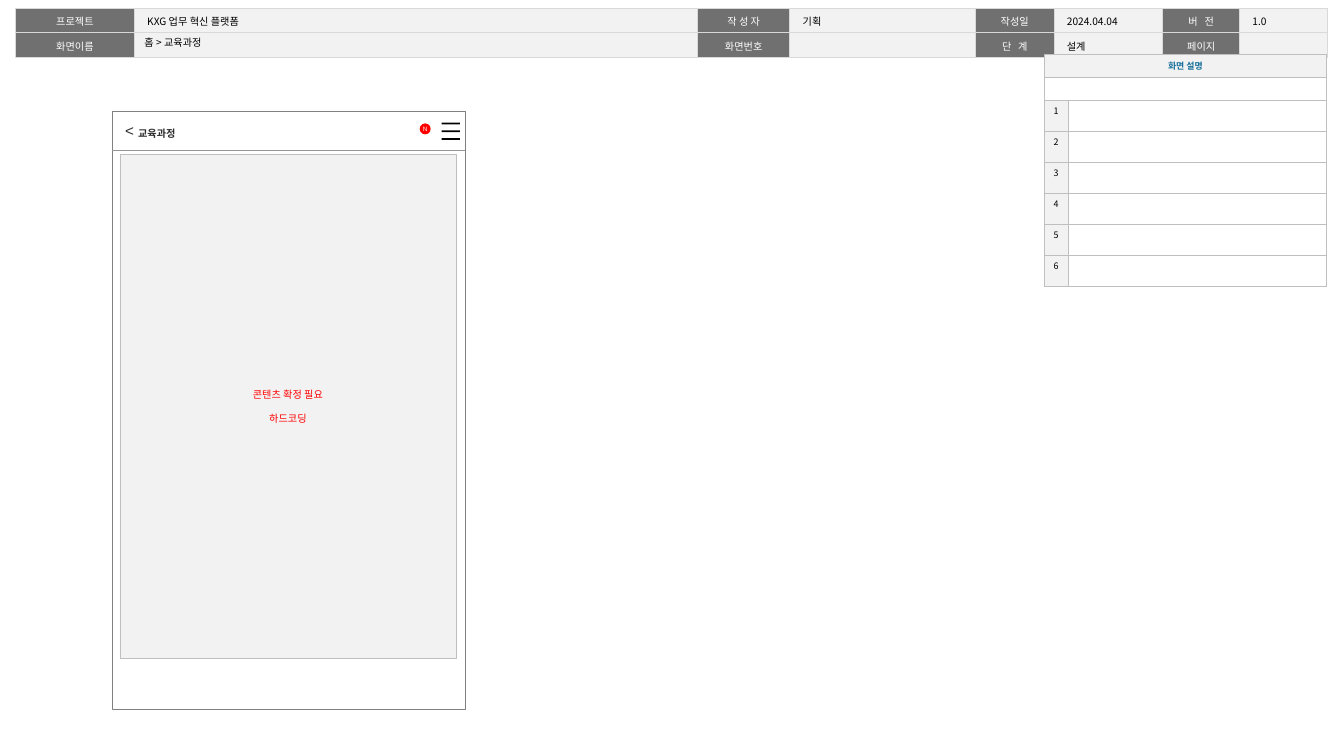
from lxml import etree
from pptx import Presentation
from pptx.dml.color import RGBColor
from pptx.enum.shapes import MSO_CONNECTOR, MSO_SHAPE
from pptx.enum.text import MSO_ANCHOR, MSO_AUTO_SIZE, PP_ALIGN
from pptx.oxml.ns import qn
from pptx.util import Inches, Pt

LEFT, CENTER = PP_ALIGN.LEFT, PP_ALIGN.CENTER
TOP, MIDDLE = MSO_ANCHOR.TOP, MSO_ANCHOR.MIDDLE
RECTANGLE, OVAL = MSO_SHAPE.RECTANGLE, MSO_SHAPE.OVAL
STRAIGHT = MSO_CONNECTOR.STRAIGHT
NO_FIT = MSO_AUTO_SIZE.NONE

WHITE = RGBColor(0xFF, 0xFF, 0xFF)
BLACK = RGBColor(0, 0, 0)
INK = RGBColor(0x2E, 0x2E, 0x2E)
RED = RGBColor(0xFF, 0, 0)
BLUE = RGBColor(0x17, 0x6F, 0x9B)
LABEL_GRAY = RGBColor(0x70, 0x70, 0x70)
PALE_GRAY = RGBColor(0xF2, 0xF2, 0xF2)
HEADER_BORDER = RGBColor(0xD9, 0xD9, 0xD9)
PANEL_BORDER = RGBColor(0xBF, 0xBF, 0xBF)
FRAME_LINE = RGBColor(0x80, 0x80, 0x80)
BAR_LINE = RGBColor(0x96, 0x96, 0x96)

KOREAN_FONT = "Noto Sans CJK KR"
LATIN_FONT = "Arial"

HEADER_COLUMNS = [1.3, 6.16, 1.01, 2.03, 0.86, 1.19, 0.84, 0.96]
HEADER_ROWS = [
    ["프로젝트", "KXG 업무 혁신 플랫폼", "작 성 자", "기획",
     "작성일", "2024.04.04", "버   전", "1.0"],
    ["화면이름", "", "화면번호", "", "단   계", "설계", "페이지", ""],
]
NOTE_COUNT = 6


def write(para, text, size, color, font=KOREAN_FONT, bold=False, align=LEFT):
    para.alignment = align
    if not text:
        # An empty cell keeps the small text height
        etree.SubElement(para._p, qn("a:endParaRPr"), sz=str(size * 100))
        return
    span = para.add_run()
    span.text = text
    span.font.size = Pt(size)
    span.font.bold = bold
    span.font.name = font
    span.font.color.rgb = color
    etree.SubElement(span._r.get_or_add_rPr(), qn("a:ea"), typeface=KOREAN_FONT)


def set_margins(item, side, end):
    item.margin_left = item.margin_right = Inches(side)
    item.margin_top = item.margin_bottom = Inches(end)


def paint(shape, fill=None, line=None, weight=0.5):
    if fill is None:
        shape.fill.background()
    else:
        shape.fill.solid()
        shape.fill.fore_color.rgb = fill
    if line is None:
        shape.line.fill.background()
    else:
        shape.line.color.rgb = line
        shape.line.width = Pt(weight)
    shape.shadow.inherit = False


def add_box(slide, kind, left, top, width, height, **style):
    box = slide.shapes.add_shape(
        kind, Inches(left), Inches(top), Inches(width), Inches(height))
    paint(box, **style)
    frame = box.text_frame
    set_margins(frame, 0, 0)
    frame.word_wrap = False
    frame.vertical_anchor = MIDDLE
    return box


def add_label(slide, left, top, width, height, text, size, side, wrap, **style):
    box = slide.shapes.add_textbox(
        Inches(left), Inches(top), Inches(width), Inches(height))
    frame = box.text_frame
    frame.word_wrap = wrap
    set_margins(frame, side, 0.05)
    write(frame.paragraphs[0], text, size, INK, LATIN_FONT, **style)
    return frame.paragraphs[0]


def add_grid(slide, left, top, columns, rows):
    table = slide.shapes.add_table(
        len(rows), len(columns), Inches(left), Inches(top),
        Inches(sum(columns)), Inches(sum(rows))).table
    table.first_row = table.horz_banding = False
    for column, width in zip(table.columns, columns):
        column.width = Inches(width)
    for row, height in zip(table.rows, rows):
        row.height = Inches(height)
    return table


def format_cell(cell, fill, border, weight, side, anchor=TOP):
    set_margins(cell, side, 0.05)
    cell.vertical_anchor = anchor
    properties = cell._tc.get_or_add_tcPr()
    for edge in ("a:lnL", "a:lnR", "a:lnT", "a:lnB"):
        line = etree.SubElement(properties, qn(edge), w=str(int(Pt(weight))))
        solid = etree.SubElement(line, qn("a:solidFill"))
        etree.SubElement(solid, qn("a:srgbClr"), val=str(border))
    cell.fill.solid()
    cell.fill.fore_color.rgb = fill


def add_header(slide):
    table = add_grid(slide, 0.17, 0.09, HEADER_COLUMNS, [0.24, 0.24])
    for row, texts in enumerate(HEADER_ROWS):
        for column, text in enumerate(texts):
            is_label = column % 2 == 0
            cell = table.cell(row, column)
            format_cell(cell, LABEL_GRAY if is_label else PALE_GRAY,
                        HEADER_BORDER, 1, 0.14)
            para = cell.text_frame.paragraphs[0]
            para.line_spacing = 1.05
            write(para, text, 8, WHITE if is_label else BLACK,
                  align=CENTER if is_label else LEFT)


def add_notes_table(slide):
    table = add_grid(slide, 11.42, 0.59, [0.26, 2.83],
                     [0.25] * 2 + [0.34] * NOTE_COUNT)
    rows = [["화면 설명", ""], ["", ""]]
    rows += [[str(number), ""] for number in range(1, NOTE_COUNT + 1)]
    for row, texts in enumerate(rows):
        is_heading = row == 0
        for column, text in enumerate(texts):
            cell = table.cell(row, column)
            shaded = is_heading or (row > 1 and column == 0)
            format_cell(cell, PALE_GRAY if shaded else WHITE, PANEL_BORDER,
                        0.25, 0.04, MIDDLE if is_heading else TOP)
            write(cell.text_frame.paragraphs[0], text, 7,
                  BLUE if is_heading else BLACK, bold=is_heading, align=CENTER)
    for row in range(2):
        table.cell(row, 0).merge(table.cell(row, 1))


def add_menu_icon(slide):
    left, right, thickness = Inches(4.83), Inches(5.03), Inches(0.02)
    tops = [Inches(1.34 + 0.085 * bar) for bar in range(3)]
    builder = slide.shapes.build_freeform(left, tops[0], scale=1.0)
    for top in tops:
        if top != tops[0]:
            builder.move_to(left, top)
        bottom = top + thickness
        builder.add_line_segments(
            [(left, bottom), (right, bottom), (right, top)], close=True)
    paint(builder.convert_to_shape(), fill=BLACK)


def add_phone_bar(slide):
    line = slide.shapes.add_connector(
        STRAIGHT, Inches(1.22), Inches(1.64), Inches(5.09), Inches(1.64))
    line.line.color.rgb = BAR_LINE
    line.line.width = Pt(0.5)
    etree.SubElement(line._element.spPr, qn("a:effectLst"))
    badge = add_box(slide, OVAL, 4.59, 1.35, 0.12, 0.12, fill=RED)
    write(badge.text_frame.paragraphs[0], "N", 5, WHITE, LATIN_FONT, align=CENTER)
    add_label(slide, 1.27, 1.28, 0.32, 0.3, "<", 12, 0.1, False)
    add_menu_icon(slide)


def add_content(slide):
    name = add_label(slide, 1.51, 1.28, 1.98, 0.28, "교육과정", 8, 0, True, bold=True)
    name.line_spacing = 1.5
    panel = add_box(slide, RECTANGLE, 1.31, 1.69, 3.68, 5.51,
                    fill=PALE_GRAY, line=PANEL_BORDER, weight=0.25)
    frame = panel.text_frame
    write(frame.paragraphs[0], "콘텐츠 확정 필요", 8, RED, LATIN_FONT, align=CENTER)
    second = frame.add_paragraph()
    second.space_before = Pt(9)
    write(second, "하드코딩", 8, RED, LATIN_FONT, align=CENTER)


def place_title(slide, text):
    title = slide.shapes.title
    title.left, title.top = Inches(1.47), Inches(0.38)
    title.width, title.height = Inches(3.85), Inches(0.16)
    frame = title.text_frame
    frame.auto_size = NO_FIT
    frame.vertical_anchor = MIDDLE
    set_margins(frame, 0.11, 0.05)
    write(frame.paragraphs[0], text, 8, BLACK)
    # Bring the title in front of the header table
    slide.shapes._spTree.append(title._element)


def main():
    deck = Presentation()
    deck.slide_width, deck.slide_height = Inches(14.7), Inches(8.27)
    page = deck.slides.add_slide(deck.slide_layouts[5])

    # Page header
    add_header(page)
    # Phone screen
    add_box(page, RECTANGLE, 1.23, 1.22, 3.86, 6.54, line=FRAME_LINE)
    add_phone_bar(page)
    # Title and screen notes
    place_title(page, "홈 > 교육과정")
    add_notes_table(page)
    # Screen content
    add_content(page)

    deck.save("out.pptx")


if __name__ == "__main__":
    main()
